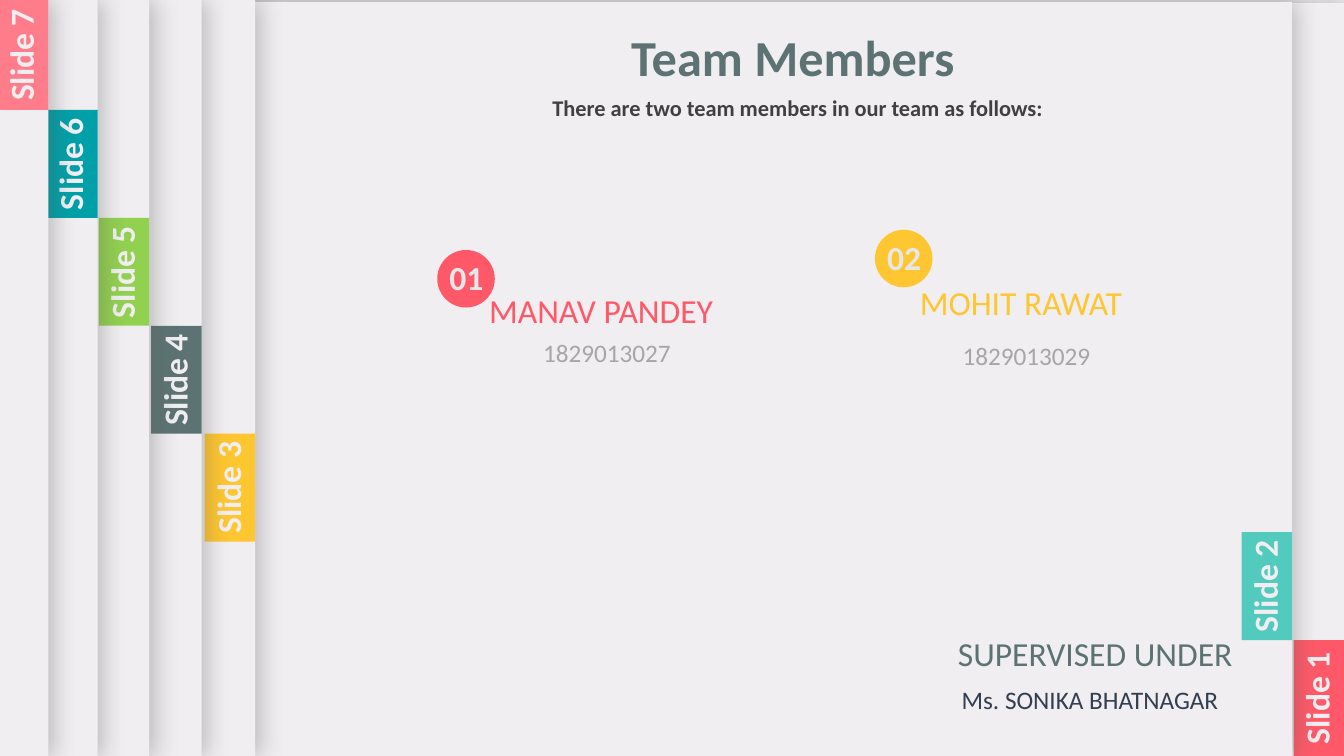
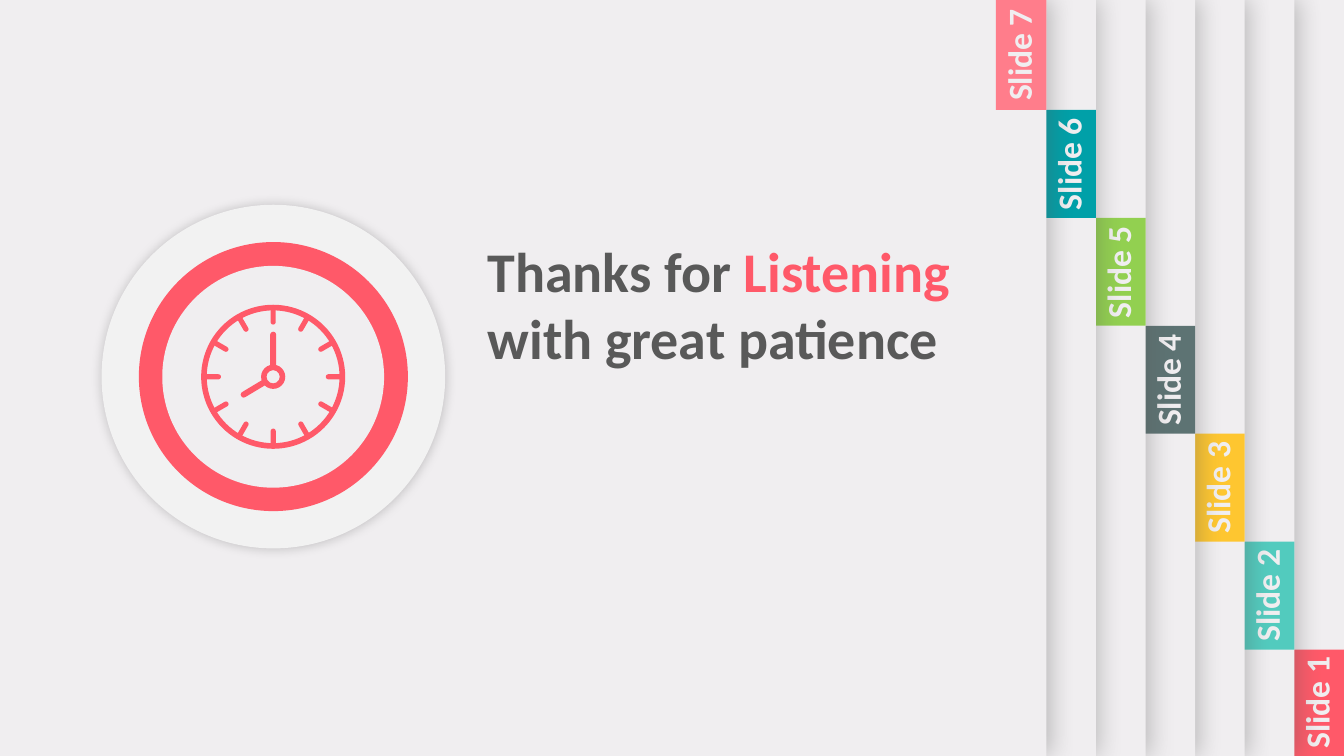
from math import cos, radians, sin

from lxml.etree import SubElement
from pptx import Presentation
from pptx.dml.color import RGBColor
from pptx.enum.shapes import MSO_SHAPE as Preset
from pptx.enum.text import MSO_AUTO_SIZE as AutoSize, PP_ALIGN as Align
from pptx.oxml.ns import qn
from pptx.util import Cm, Pt

SLIDE_WIDTH, SLIDE_HEIGHT = 33.87, 19.05
FONT = "Calibri"
PAPER, CORAL, YELLOW, SLATE = "F0EEF0", "FF5969", "FEC630", "5D7373"
DARK, GREY = "595959", "A6A6A6"
TAB_COLOURS = [CORAL, "52CBBE", YELLOW, SLATE, "92D050", "00A0A8", "FF7D8B"]
TAB_WIDTH, TAB_HEIGHT, FIRST_TAB_HEIGHT = 1.27, 2.72, 2.77
LABEL_WIDTH, LABEL_HEIGHT = 3.02, 1.27
PANEL_SHADOW = (DARK, 35, 17, 3)
DISC_SHADOW = ("000000", 20, 8, 0)


def colour(value):
    return RGBColor.from_string(value)


def lengths(box):
    return [Cm(round(value, 2)) for value in box]


def centred(x, y, width, height):
    return x - width / 2, y - height / 2, width, height


def add_filled(slide, preset, box, fill, shadow=None, adjustment=None, rotation=0):
    shape = slide.shapes.add_shape(preset, *lengths(box))
    shape.fill.solid()
    shape.fill.fore_color.rgb = colour(fill)
    shape.line.fill.background()
    shape.shadow.inherit = False
    shape.rotation = rotation
    if adjustment is not None:
        shape.adjustments[0] = adjustment
    if shadow:
        add_shadow(shape, *shadow)
    return shape


def add_shadow(shape, tint, opacity, blur, distance):
    effects = shape._element.spPr.find(qn("a:effectLst"))
    outer = SubElement(effects, qn("a:outerShdw"), blurRad=str(Pt(blur)),
                       dist=str(Pt(distance)), dir="0", algn="ctr", rotWithShape="0")
    tone = SubElement(outer, qn("a:srgbClr"), val=tint)
    SubElement(tone, qn("a:alpha"), val=str(opacity * 1000))


def add_text(slide, box, runs, size, bold=False, align=Align.CENTER, rotation=0):
    shape = slide.shapes.add_textbox(*lengths(box))
    shape.rotation = rotation
    frame = shape.text_frame
    frame.word_wrap = True
    frame.auto_size = AutoSize.SHAPE_TO_FIT_TEXT
    paragraph = frame.paragraphs[0]
    paragraph.alignment = align
    for text, tint in runs:
        run = paragraph.add_run()
        run.text = text
        run.font.name = FONT
        run.font.size = Pt(size)
        run.font.bold = bold
        run.font.color.rgb = colour(tint)


def add_panel(slide, number, edge, drop=0, lift=0):
    add_filled(slide, Preset.RECTANGLE, (0, drop, edge, SLIDE_HEIGHT), PAPER, PANEL_SHADOW)
    bottom = FIRST_TAB_HEIGHT + TAB_HEIGHT * (7 - number) - lift
    top = bottom - TAB_HEIGHT
    if number == 7:
        top = 0
    if number == 1:
        bottom = SLIDE_HEIGHT
    width = min(TAB_WIDTH, edge)
    add_filled(slide, Preset.RECTANGLE, (edge - width, top, width, bottom - top),
               TAB_COLOURS[number - 1])
    label = centred(edge - TAB_WIDTH / 2 - 0.06, (top + bottom) / 2, LABEL_WIDTH, LABEL_HEIGHT)
    add_text(slide, label, [(f"Slide {number}", PAPER)], 24, True, rotation=270)


def add_panels(slide, panels):
    for number, panel in enumerate(panels, 1):
        add_panel(slide, number, *panel)


def add_heading(slide, left, top):
    add_text(slide, (left + 0.18, top, 14.66, 1.8), [("Team Members", SLATE)], 36, True)
    add_text(slide, (left, top + 1.73, 15.27, 0.94),
             [("There are two team members in our team as follows:", "404040")], 16, True)


def add_member(slide, left, top, number, name, code, tint, name_offset, code_offset):
    add_filled(slide, Preset.OVAL, (left, top, 1.45, 1.45), tint)
    add_text(slide, (left - 0.18, top + 0.06, 1.83, 1.27), [(number, "E6E7E9")], 24, True)
    for text, size, ink, (right, down), width in (
        (name, 24, tint, name_offset, 7.7),
        (code, 18, GREY, code_offset, 7.34),
    ):
        add_text(slide, (left + right, top + down, width, 1.27), [(text, ink)], size)


def add_supervisor(slide, left, top):
    add_text(slide, (left, top, 8.46, 1.27), [("SUPERVISED UNDER", SLATE)], 24)
    add_text(slide, (left + 0.43, top + 1.3, 7.34, 1.02),
             [("Ms. SONIKA BHATNAGAR", "333F50")], 18)


def add_spoke(slide, x, y, angle, radius, width, length, preset):
    turn = radians(angle)
    box = centred(x + radius * sin(turn), y - radius * cos(turn), width, length)
    add_filled(slide, preset, box, CORAL, adjustment=0.5, rotation=angle)


def add_clock(slide, x, y):
    for diameter, fill, shadow in (
        (8.66, "F2F2F2", DISC_SHADOW), (6.78, CORAL, None), (5.59, PAPER, None),
    ):
        add_filled(slide, Preset.OVAL, centred(x, y, diameter, diameter), fill, shadow)
    for hour in range(12):
        add_spoke(slide, x, y, hour * 30, 1.53, 0.13, 0.43, Preset.ROUNDED_RECTANGLE)
    for diameter, thickness in ((3.63, 0.039), (0.61, 0.226)):
        add_filled(slide, Preset.DONUT, centred(x, y, diameter, diameter), CORAL,
                   adjustment=thickness)
    for angle, radius, length in ((239, 0.58, 0.74), (0, 0.7, 0.86)):
        add_spoke(slide, x, y, angle, radius, 0.15, length, Preset.ROUND_2_SAME_RECTANGLE)


def new_slide(presentation):
    slide = presentation.slides.add_slide(presentation.slide_layouts[6])
    slide.background.fill.solid()
    slide.background.fill.fore_color.rgb = colour(PAPER)
    return slide


def build_team(presentation):
    slide = new_slide(presentation)
    add_panels(slide, [(SLIDE_WIDTH, 0.08, 0.24), (32.56, 0.05, 0.24),
                       (6.43,), (5.08,), (3.76,), (2.46,), (1.22,)])
    add_heading(slide, 12.47, 0.53)
    add_member(slide, 11.02, 6.3, "01", "MANAV PANDEY", "1829013027", CORAL,
               (0.28, 0.89), (0.61, 2.08))
    add_member(slide, 22.05, 5.79, "02", "MOHIT RAWAT", "1829013029", YELLOW,
               (-0.17, 1.19), (0.15, 2.67))
    add_supervisor(slide, 23.37, 15.82)


def build_thanks(presentation):
    slide = new_slide(presentation)
    add_panels(slide, [(SLIDE_WIDTH - 1.25 * step,) for step in range(7)])
    add_text(slide, (12.04, 5.84, 12.24, 5.38),
             [("Thanks for ", DARK), ("Listening ", CORAL), ("with great patience", DARK)],
             40, True, Align.LEFT)
    add_clock(slide, 6.89, 9.49)


presentation = Presentation()
presentation.slide_width = Cm(SLIDE_WIDTH)
presentation.slide_height = Cm(SLIDE_HEIGHT)
build_team(presentation)
build_thanks(presentation)
presentation.save("out.pptx")
